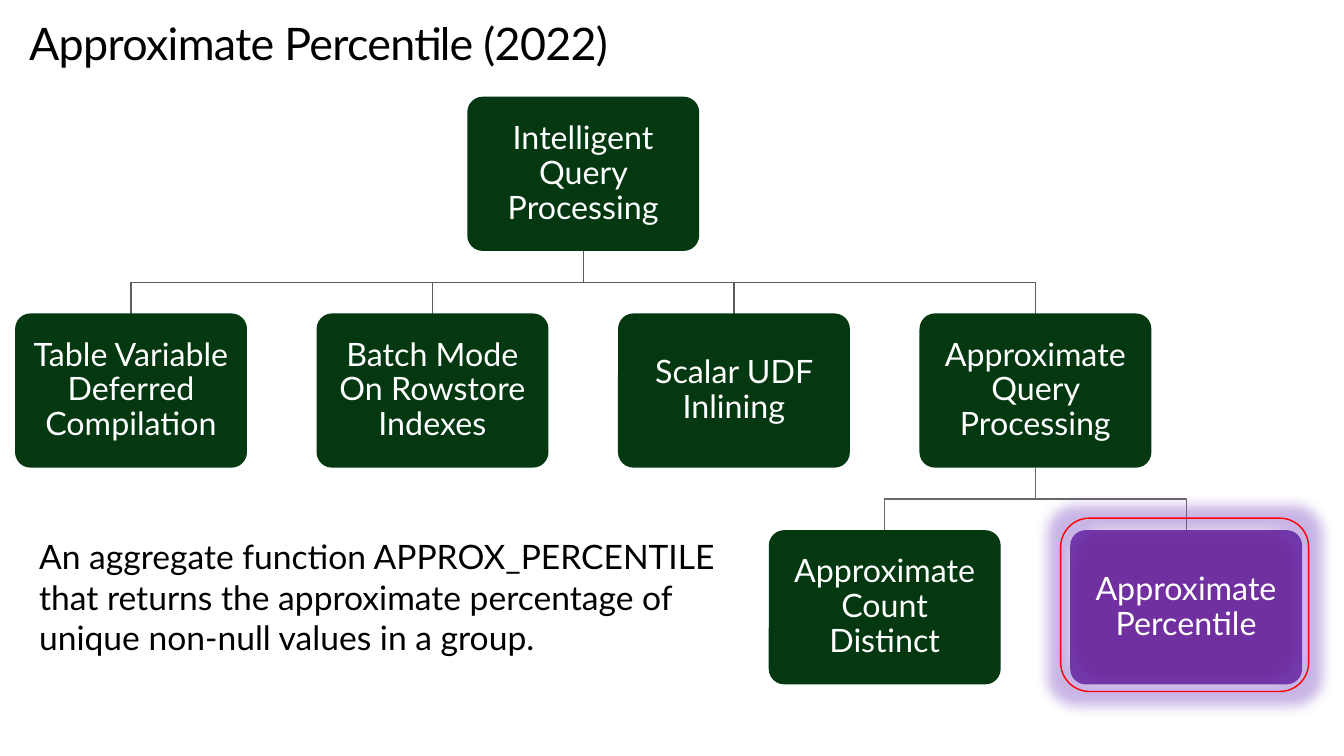
import pptx
import pptx.util
import pptx.dml.color
import pptx.enum.shapes
import pptx.enum.text
import pptx.oxml
import pptx.oxml.ns

Inches = pptx.util.Inches
Kind = pptx.enum.shapes.MSO_SHAPE
Align = pptx.enum.text.PP_ALIGN
Anchor = pptx.enum.text.MSO_ANCHOR


def color(code):
    return pptx.dml.color.RGBColor.from_string(code)


def write(shape, words, size=23, ink="000000", align=Align.LEFT,
          anchor=Anchor.TOP, pad=(0, 0), lead=None, track=None):
    frame = shape.text_frame
    frame.word_wrap = True
    frame.vertical_anchor = anchor
    frame.margin_left = frame.margin_right = Inches(pad[0])
    frame.margin_top = frame.margin_bottom = Inches(pad[1])
    frame.text = words
    for para in frame.paragraphs:
        para.alignment = align
        if lead:
            para.line_spacing = lead
        for run in para.runs:
            run.font.name = "Lato"
            run.font.size = pptx.util.Pt(size)
            run.font.color.rgb = color(ink)
            if track:
                run.font._element.set("spc", str(track))


deck = pptx.Presentation()
deck.slide_width = Inches(13.33)
deck.slide_height = Inches(7.5)
slide = deck.slides.add_slide(deck.slide_layouts[6])
shapes = slide.shapes

title = shapes.add_textbox(Inches(0.29), Inches(0.19), Inches(12), Inches(0.5))
write(title, "Approximate Percentile (2022)", size=32,
      lead=pptx.util.Pt(36.2), track=-50)

wide, high, gap = Inches(2.3), Inches(1.53), Inches(0.62)
left, top, step = Inches(0.15), Inches(0.96), Inches(2.99)
green, purple = "043811", "7030A0"

nodes = [
    ("Intelligent Query Processing", 1.5, 0, None, green),
    ("Table Variable Deferred Compilation", 0, 1, 0, green),
    ("Batch Mode On Rowstore Indexes", 1, 1, 0, green),
    ("Scalar UDF Inlining", 2, 1, 0, green),
    ("Approximate Query Processing", 3, 1, 0, green),
    ("Approximate Count Distinct", 2.5, 2, 4, green),
    ("Approximate Percentile", 3.5, 2, 4, purple),
]

for name, col, row, boss, fill in nodes:
    x = int(left + col * step)
    y = top + row * (high + gap)
    if boss is not None:
        mid = x + wide // 2
        start = int(left + nodes[boss][1] * step) + wide // 2
        bend = y - gap // 2
        pen = shapes.build_freeform(start, y - gap)
        pen.add_line_segments([(start, bend), (mid, bend), (mid, y)], close=False)
        link = pen.convert_to_shape()
        link.shadow.inherit = False
        link.fill.background()
        link.line.color.rgb = color("5C5C5C" if row == 1 else "686868")
        link.line.width = pptx.util.Pt(1)
    box = shapes.add_shape(Kind.ROUNDED_RECTANGLE, x, y, wide, high)
    box.adjustments[0] = 0.1
    box.shadow.inherit = False
    box.fill.solid()
    box.fill.fore_color.rgb = color(fill)
    box.line.fill.background()
    write(box, name, ink="FFFFFF", align=Align.CENTER, anchor=Anchor.MIDDLE,
          pad=(0.1, 0.14), lead=0.9)

ring = shapes.add_shape(Kind.ROUNDED_RECTANGLE, Inches(10.52), Inches(5.14),
                        Inches(2.46), Inches(1.72))
ring.shadow.inherit = False
ring.fill.background()
ring.line.color.rgb = color("FF0000")
ring.line.width = pptx.util.Pt(1)
glow = pptx.oxml.parse_xml(
    f'<a:glow {pptx.oxml.ns.nsdecls("a")} rad="228600"><a:srgbClr val="7848C0">'
    '<a:alpha val="40000"/></a:srgbClr></a:glow>')
ring._element.spPr.find(pptx.oxml.ns.qn("a:effectLst")).append(glow)

note = shapes.add_textbox(Inches(0.29), Inches(5.27), Inches(7.5), Inches(1.31))
write(note, "An aggregate function APPROX_PERCENTILE\n"
      "that returns the approximate percentage of unique non-null values in a group.",
      size=24, pad=(0.1, 0.05))

deck.save("out.pptx")
